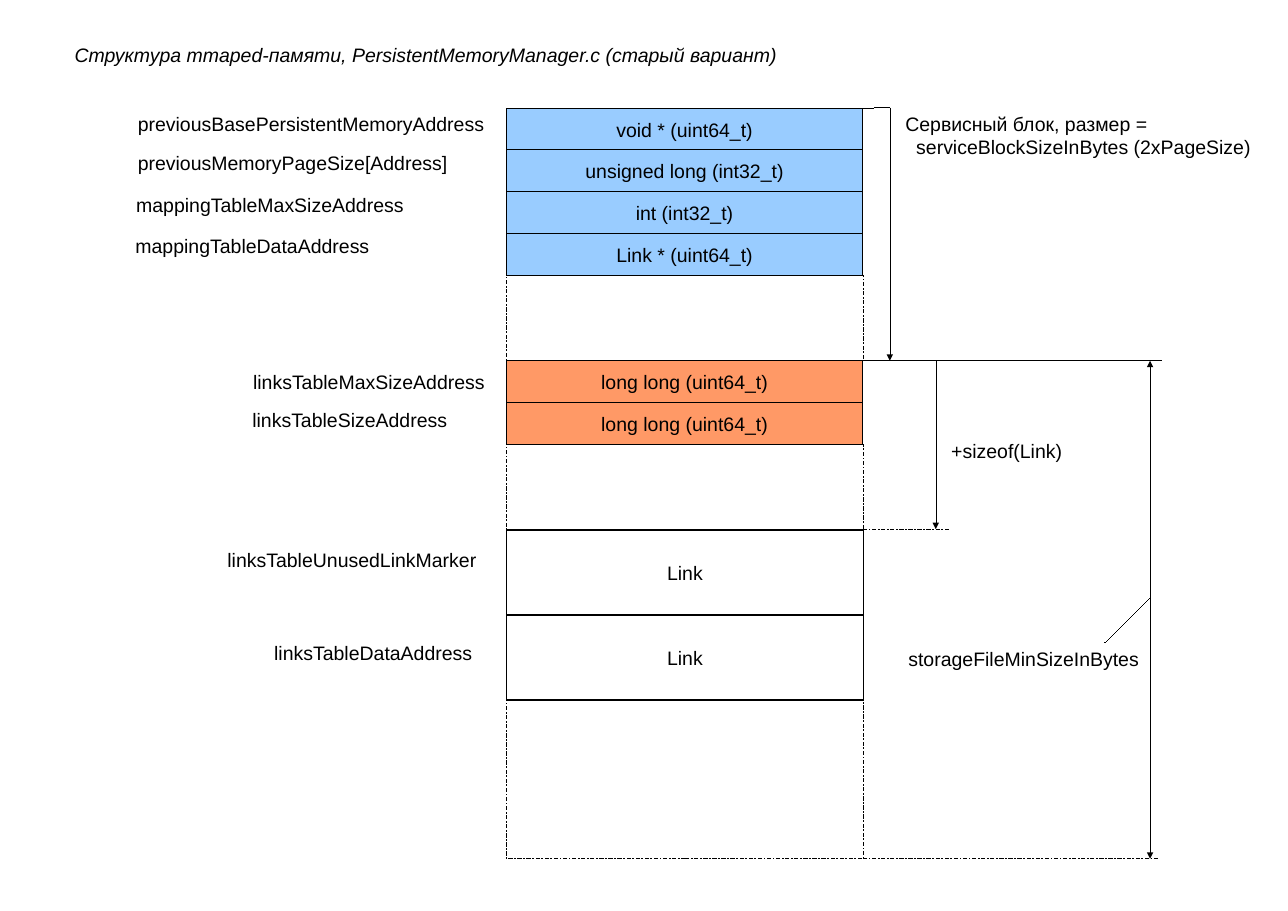
from dataclasses import dataclass
from typing import Optional

from lxml import etree
from pptx import Presentation
from pptx import util as u
from pptx.dml.color import RGBColor
from pptx.enum import dml, shapes, text
from pptx.oxml import ns

BLACK = RGBColor(0x00, 0x00, 0x00)
WHITE = RGBColor(0xFF, 0xFF, 0xFF)
BLUE = RGBColor(0x99, 0xCC, 0xFF)
ORANGE = RGBColor(0xFF, 0x99, 0x66)

HAIRLINE = 0.01
COLUMN_LEFT = 6.5
COLUMN_RIGHT = 11.08
FIELD_WIDTH = 4.57
FIELD_HEIGHT = 0.54
BLOCK_WIDTH = 4.58
LINK_HEIGHT = 1.09
SERVICE_TOP = 1.39
STORAGE_TOP = 4.63
LINKS_TOP = 6.8
STORAGE_BOTTOM = 11.02


@dataclass
class Block:
    top: float
    height: float
    width: float = BLOCK_WIDTH
    caption: str = ""
    fill: RGBColor = WHITE
    line_width: float = HAIRLINE
    dashed: bool = False


@dataclass
class Label:
    left: float
    top: float
    width: float
    height: float
    lines: tuple[str, ...]
    italic: bool = False
    hanging: float = 0


@dataclass
class Line:
    start: tuple[float, float]
    end: tuple[float, float]
    dashed: bool = False
    head: Optional[str] = None
    tail: Optional[str] = None


def fields(top: float, bottom: float, fill: RGBColor, captions: list[str]) -> list[Block]:
    step = (bottom - top) / len(captions)
    return [Block(top + index * step, FIELD_HEIGHT, FIELD_WIDTH, caption, fill)
            for index, caption in enumerate(captions)]


BLOCKS = [
    Block(8.98, 2.04, dashed=True),
    Block(5.71, LINK_HEIGHT, dashed=True),
    Block(3.53, LINK_HEIGHT, dashed=True),
    *fields(SERVICE_TOP, 3.53, BLUE, ["void * (uint64_t)", "unsigned long (int32_t)",
                                      "int (int32_t)", "Link * (uint64_t)"]),
    *fields(STORAGE_TOP, 5.71, ORANGE, ["long long (uint64_t)"] * 2),
    *[Block(LINKS_TOP + index * LINK_HEIGHT, LINK_HEIGHT, caption="Link", line_width=1.42)
      for index in range(2)],
]

LINES = [
    Line((11.07, SERVICE_TOP), (11.42, 1.38)),
    Line((11.42, 1.38), (11.42, STORAGE_TOP), tail="triangle"),
    Line((COLUMN_RIGHT, STORAGE_TOP), (11.42, STORAGE_TOP)),
    Line((11.42, STORAGE_TOP), (12.11, STORAGE_TOP)),
    Line((12.01, STORAGE_TOP), (12.01, 6.79), tail="triangle"),
    Line((COLUMN_RIGHT, LINKS_TOP), (12.2, LINKS_TOP), dashed=True),
    Line((12.11, STORAGE_TOP), (14.91, STORAGE_TOP)),
    Line((14.76, STORAGE_TOP), (14.76, STORAGE_BOTTOM), head="triangle", tail="triangle"),
    Line((COLUMN_RIGHT, STORAGE_BOTTOM), (14.86, STORAGE_BOTTOM), dashed=True),
    Line((14.17, 8.25), (14.76, 7.66)),
]

LABELS = [
    Label(0.86, 0.5, 9.4, 0.38,
          ("Структура mmaped-памяти, PersistentMemoryManager.c (старый вариант)",), italic=True),
    Label(1.67, 1.39, 4.75, 0.43, ("previousBasePersistentMemoryAddress",)),
    Label(1.67, 1.89, 4.63, 0.46, ("previousMemoryPageSize[Address]",)),
    Label(1.65, 2.43, 3.7, 0.46, ("mappingTableMaxSizeAddress",)),
    Label(1.64, 2.95, 3.3, 0.46, ("mappingTableDataAddress",)),
    Label(3.15, 4.7, 3.3, 0.38, ("linksTableMaxSizeAddress",)),
    Label(3.14, 5.19, 2.8, 0.38, ("linksTableSizeAddress",)),
    Label(2.82, 6.98, 3.55, 0.38, ("linksTableUnusedLinkMarker",)),
    Label(3.42, 8.17, 2.85, 0.38, ("linksTableDataAddress",)),
    Label(11.52, 1.39, 4.85, 0.66,
          ("Сервисный блок, размер =", "serviceBlockSizeInBytes (2xPageSize)"), hanging=0.14),
    Label(12.11, 5.58, 1.97, 0.49, ("+sizeof(Link)",)),
    Label(11.56, 8.25, 3.3, 0.38, ("storageFileMinSizeInBytes",)),
]


def set_font(paragraph, italic: bool = False) -> None:
    font = paragraph.font
    font.name = "Arial"
    font.size = u.Pt(18)
    font.italic = italic
    font.color.rgb = BLACK


def set_line(line, width: float, dashed: bool) -> None:
    line.color.rgb = BLACK
    line.width = u.Pt(width)
    if dashed:
        line.dash_style = dml.MSO_LINE.DASH_DOT


def draw_block(slide, block: Block) -> None:
    shape = slide.shapes.add_shape(
        shapes.MSO_SHAPE.RECTANGLE, u.Inches(COLUMN_LEFT), u.Inches(block.top),
        u.Inches(block.width), u.Inches(block.height))
    shape.shadow.inherit = False
    shape.fill.solid()
    shape.fill.fore_color.rgb = block.fill
    set_line(shape.line, block.line_width, block.dashed)
    if block.caption:
        frame = shape.text_frame
        frame.vertical_anchor = text.MSO_ANCHOR.MIDDLE
        paragraph = frame.paragraphs[0]
        paragraph.text = block.caption
        paragraph.alignment = text.PP_ALIGN.CENTER
        set_font(paragraph)


def draw_line(slide, line: Line) -> None:
    connector = slide.shapes.add_connector(
        shapes.MSO_CONNECTOR.STRAIGHT, *map(u.Inches, line.start + line.end))
    set_line(connector.line, HAIRLINE, line.dashed)
    properties = connector._element.spPr
    outline = properties.find(ns.qn("a:ln"))
    for tag, arrow in (("a:headEnd", line.head), ("a:tailEnd", line.tail)):
        if arrow:
            etree.SubElement(outline, ns.qn(tag), type=arrow)
    etree.SubElement(properties, ns.qn("a:effectLst"))


def draw_label(slide, label: Label) -> None:
    box = slide.shapes.add_textbox(u.Inches(label.left), u.Inches(label.top),
                                   u.Inches(label.width), u.Inches(label.height))
    frame = box.text_frame
    frame.word_wrap = True
    frame.auto_size = text.MSO_AUTO_SIZE.SHAPE_TO_FIT_TEXT
    frame.text = "\n".join(label.lines)
    for index, paragraph in enumerate(frame.paragraphs):
        if index and label.hanging:
            paragraph._p.get_or_add_pPr().set("marL", str(u.Inches(label.hanging)))
        set_font(paragraph, label.italic)


def main() -> None:
    presentation = Presentation()
    presentation.slide_width = u.Inches(16.53)
    presentation.slide_height = u.Inches(11.69)
    slide = presentation.slides.add_slide(presentation.slide_layouts[6])
    for block in BLOCKS:
        draw_block(slide, block)
    for line in LINES:
        draw_line(slide, line)
    for label in LABELS:
        draw_label(slide, label)
    presentation.save("out.pptx")


if __name__ == "__main__":
    main()
